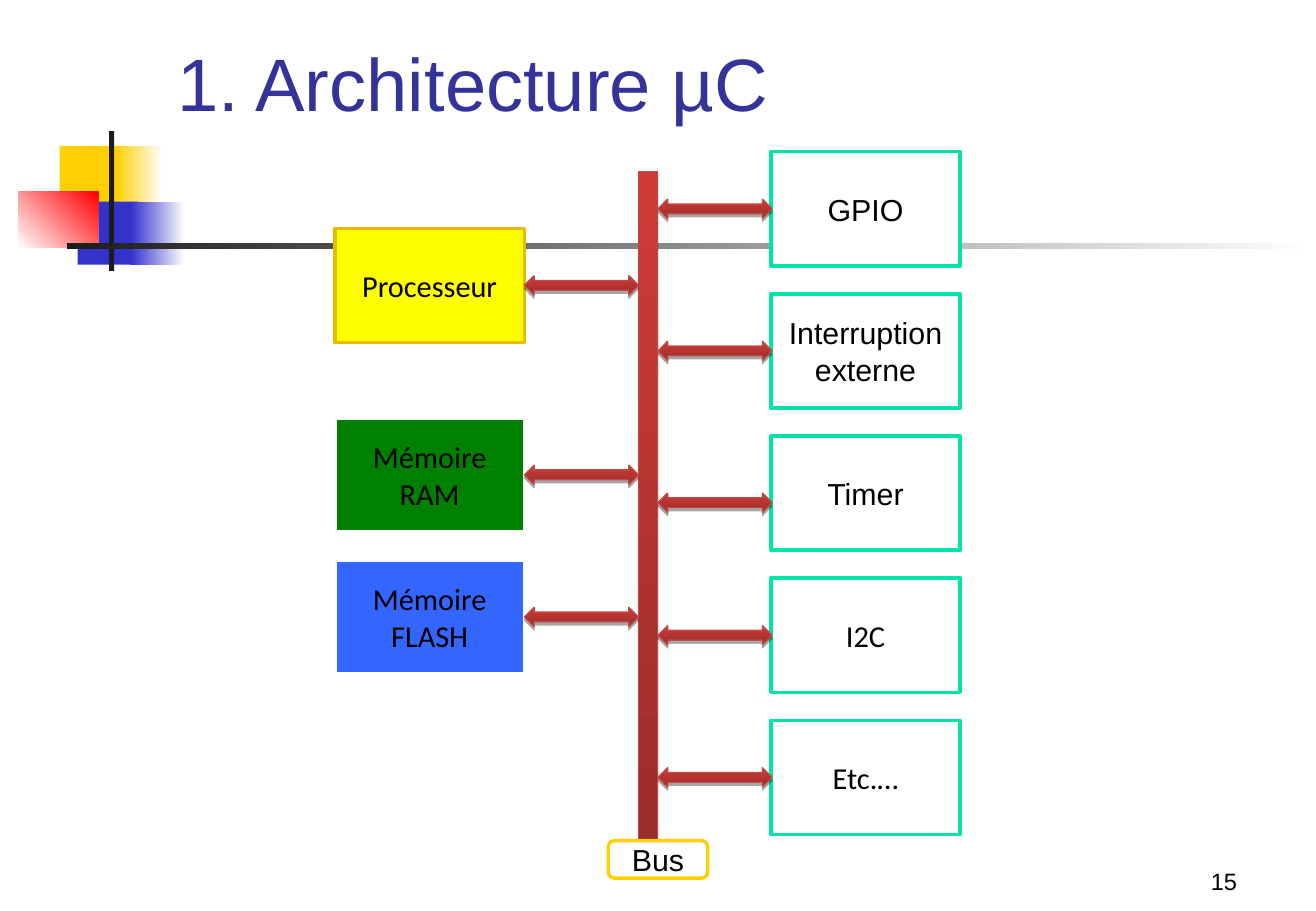
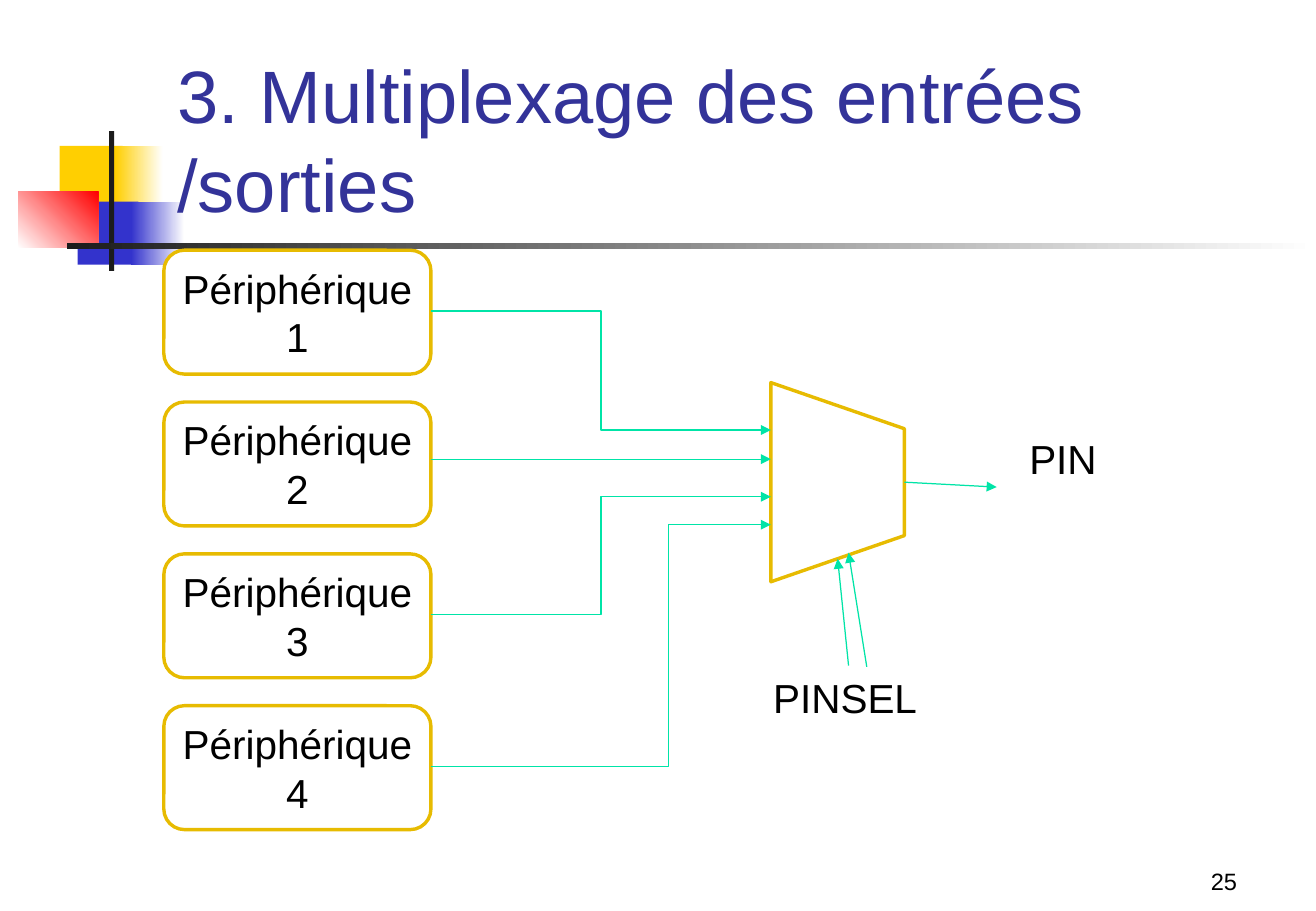
from lxml import etree
from pptx import Presentation
from pptx.dml.color import RGBColor
from pptx.enum.shapes import MSO_CONNECTOR as CONN, MSO_SHAPE as SHAPE
from pptx.enum.text import MSO_ANCHOR as ANCHOR, MSO_AUTO_SIZE as AUTO, PP_ALIGN as ALIGN
from pptx.oxml.ns import qn
from pptx.util import Inches, Pt

COLORS = {
    "text": "000000", "title": "333399", "white": "FFFFFF", "ink": "1C1C1C",
    "yellow": "FFCF01", "blue": "3333CC", "red": "FF0000", "gold": "E7BB01",
    "cpu": "FFFF00", "ram": "008000", "flash": "3366FF",
    "mint": "00E4A8", "wire": "00E4A7",
    "bus_dark": "9B2D2A", "bus_light": "CE3B37", "bus_line": "BE4B48",
}
BUS_FILL = ("bus_dark", "bus_light", 90)


def rgb(name):
    return RGBColor.from_string(COLORS[name])


def inches(values):
    return [Inches(v) for v in values]


class Deck:
    """Holds the style and the current slide."""

    def __init__(self):
        self.prs = Presentation()
        self.prs.slide_width, self.prs.slide_height = inches((10.84, 7.5))
        self.layout = self.prs.slide_layouts[5]
        self.s = None

    def slide(self, title, box, number):
        first = self.s is None
        self.s = self.prs.slides.add_slide(self.layout)
        if first:
            self.decorate_layout()
        sp = self.s.shapes.title
        sp.left, sp.top, sp.width, sp.height = inches(box)
        self.set_text(sp, title, size=44, color="title", align=ALIGN.LEFT,
                      anchor=ANCHOR.BOTTOM)
        self.label(str(number), (8.03, 6.92, 2.26, 0.5), size=14,
                   align=ALIGN.RIGHT, anchor=ANCHOR.BOTTOM)

    def decorate_layout(self):
        """Draws the coloured squares and rules, then moves them to the layout."""
        parts = [
            ((0.49, 1.2, 0.52, 0.52), "yellow"),
            ((0.95, 1.2, 0.39, 0.52), ("yellow", "white", 0)),
            ((0.64, 1.66, 0.5, 0.52), "blue"),
            ((1.08, 1.66, 0.44, 0.52), ("blue", "white", 0)),
            ((0.15, 1.58, 0.66, 0.46), ("white", "red", 45)),
            ((0.9, 1.08, 0.04, 1.15), "ink"),
            ((0.55, 2, 10.29, 0.05), ("ink", "white", 0)),
        ]
        for i, (box, fill) in enumerate(parts):
            el = self.shape(SHAPE.RECTANGLE, box, fill).element
            el.nvSpPr.cNvPr.set("id", str(100 + i))
            self.layout.shapes.element.append(el)

    def set_text(self, sp, text, size=18, font="Arial", color="text",
                 align=ALIGN.CENTER, anchor=ANCHOR.MIDDLE):
        tf = sp.text_frame
        frame = {"word_wrap": True, "auto_size": AUTO.NONE, "vertical_anchor": anchor}
        for key, value in frame.items():
            setattr(tf, key, value)
        p = tf.paragraphs[0]
        p.alignment = align
        r = p.add_run()
        r.text = text
        for key, value in {"size": Pt(size), "name": font}.items():
            setattr(r.font, key, value)
        r.font.color.rgb = rgb(color)

    def label(self, text, box, **fmt):
        self.set_text(self.s.shapes.add_textbox(*inches(box)), text, **fmt)

    def paint(self, sp, fill, line=None, width=2):
        sp.shadow.inherit = False
        if isinstance(fill, tuple):
            start, end, angle = fill
            sp.fill.gradient()
            sp.fill.gradient_angle = angle
            for stop, name in zip(sp.fill.gradient_stops, (start, end)):
                stop.color.rgb = rgb(name)
        else:
            sp.fill.solid()
            sp.fill.fore_color.rgb = rgb(fill)
        if line:
            sp.line.color.rgb = rgb(line)
            sp.line.width = Pt(width)
        else:
            sp.line.fill.background()

    def shape(self, kind, box, fill, line=None, width=2, text=None, **fmt):
        sp = self.s.shapes.add_shape(kind, *inches(box))
        self.paint(sp, fill, line, width)
        if text:
            self.set_text(sp, text, **fmt)
        return sp

    def bus_part(self, kind, box):
        sp = self.shape(kind, box, BUS_FILL, "bus_line", 0.75)
        effects = sp.element.spPr.find(qn("a:effectLst"))
        shadow = etree.SubElement(effects, qn("a:outerShdw"), blurRad="0",
                                  dist=str(Pt(1.8)), dir="5400000", rotWithShape="0")
        color = etree.SubElement(shadow, qn("a:srgbClr"), val=COLORS["text"])
        etree.SubElement(color, qn("a:alpha"), val="35000")

    def polygon(self, points, fill, line):
        start, *rest = [tuple(inches(pt)) for pt in points]
        builder = self.s.shapes.build_freeform(*start)
        builder.add_line_segments(rest, close=True)
        self.paint(builder.convert_to_shape(), fill, line)

    def arrow(self, start, end, bend=None):
        """Straight arrow, or an elbow that turns at the given share of its width."""
        kind = CONN.ELBOW if bend else CONN.STRAIGHT
        cx = self.s.shapes.add_connector(kind, *inches(start + end))
        cx.line.color.rgb = rgb("wire")
        cx.line.width = Pt(0.75)
        spPr = cx.element.spPr
        etree.SubElement(spPr.find(qn("a:ln")), qn("a:tailEnd"), type="triangle")
        etree.SubElement(spPr, qn("a:effectLst"))
        if bend:
            guides = spPr.find(qn("a:prstGeom")).get_or_add_avLst()
            etree.SubElement(guides, qn("a:gd"), name="adj1",
                             fmla=f"val {round(bend * 100000)}")


def architecture(deck):
    deck.slide("1. Architecture µC", (1.36, 0.33, 9.23, 0.76), 15)
    width, height, arrow_w, arrow_h = 1.56, 0.94, 0.94, 0.16
    arrow_drop = (height - arrow_h) / 2

    # Processor and memories on the left, peripherals on the right
    blocks = [
        (2.76, 1.88, "Processeur", "Calibri", "cpu", "gold"),
        (2.76, 3.44, "Mémoire RAM", "Calibri", "ram", "white"),
        (2.76, 4.61, "Mémoire FLASH", "Calibri", "flash", "white"),
    ]
    peripherals = [("GPIO", "Arial"), ("Interruption externe", "Arial"),
                   ("Timer", "Arial"), ("I2C", "Calibri"), ("Etc.…", "Calibri")]
    blocks += [(6.35, 1.25 + 1.17 * i, text, font, "white", "mint")
               for i, (text, font) in enumerate(peripherals)]
    for x, y, text, font, fill, line in blocks:
        deck.shape(SHAPE.RECTANGLE, (x, y, width, height), fill, line,
                   text=text, font=font)

    # Bus and its two-way arrows
    deck.bus_part(SHAPE.RECTANGLE, (5.26, 1.41, 0.16, 5.55))
    for x, y, text, *_ in blocks:
        arrow_x = 4.32 if x < 5 else 5.42
        arrow_y = y + arrow_drop + (0.08 if text == "Timer" else 0)
        deck.bus_part(SHAPE.LEFT_RIGHT_ARROW, (arrow_x, arrow_y, arrow_w, arrow_h))
    deck.shape(SHAPE.ROUNDED_RECTANGLE, (5.01, 6.92, 0.82, 0.31), "white", "yellow",
               text="Bus")


def multiplexing(deck):
    deck.slide("3. Multiplexage des entrées /sorties", (1.36, 0.67, 9.23, 1.25), 25)

    # Peripherals
    for i in range(4):
        deck.shape(SHAPE.ROUNDED_RECTANGLE, (1.35, 2.06 + 1.25 * i, 2.2, 1.02),
                   "white", "gold", text=f"Périphérique {i + 1}", size=24)

    # Multiplexer and its inputs
    deck.polygon([(6.35, 3.15), (7.45, 3.53), (7.45, 4.41), (6.35, 4.79)],
                 "white", "gold")
    for y1, y2, bend in [(2.56, 3.54, 0.5), (3.78, 3.78, None),
                         (5.06, 4.09, 0.5), (6.31, 4.32, 0.7)]:
        deck.arrow((3.55, y1), (6.35, y2), bend)

    # Output pin and selection
    deck.arrow((7.45, 3.97), (8.21, 4.01))
    deck.arrow((6.99, 5.48), (6.9, 4.6))
    deck.arrow((7.14, 5.49), (6.99, 4.55))
    for text, box in [("PIN", (8.38, 3.52, 1.35, 0.5)),
                      ("PINSEL", (6.27, 5.49, 1.75, 0.5))]:
        deck.label(text, box, size=24, align=ALIGN.LEFT, anchor=ANCHOR.TOP)


def main():
    deck = Deck()
    architecture(deck)
    multiplexing(deck)
    deck.prs.save("out.pptx")


if __name__ == "__main__":
    main()
